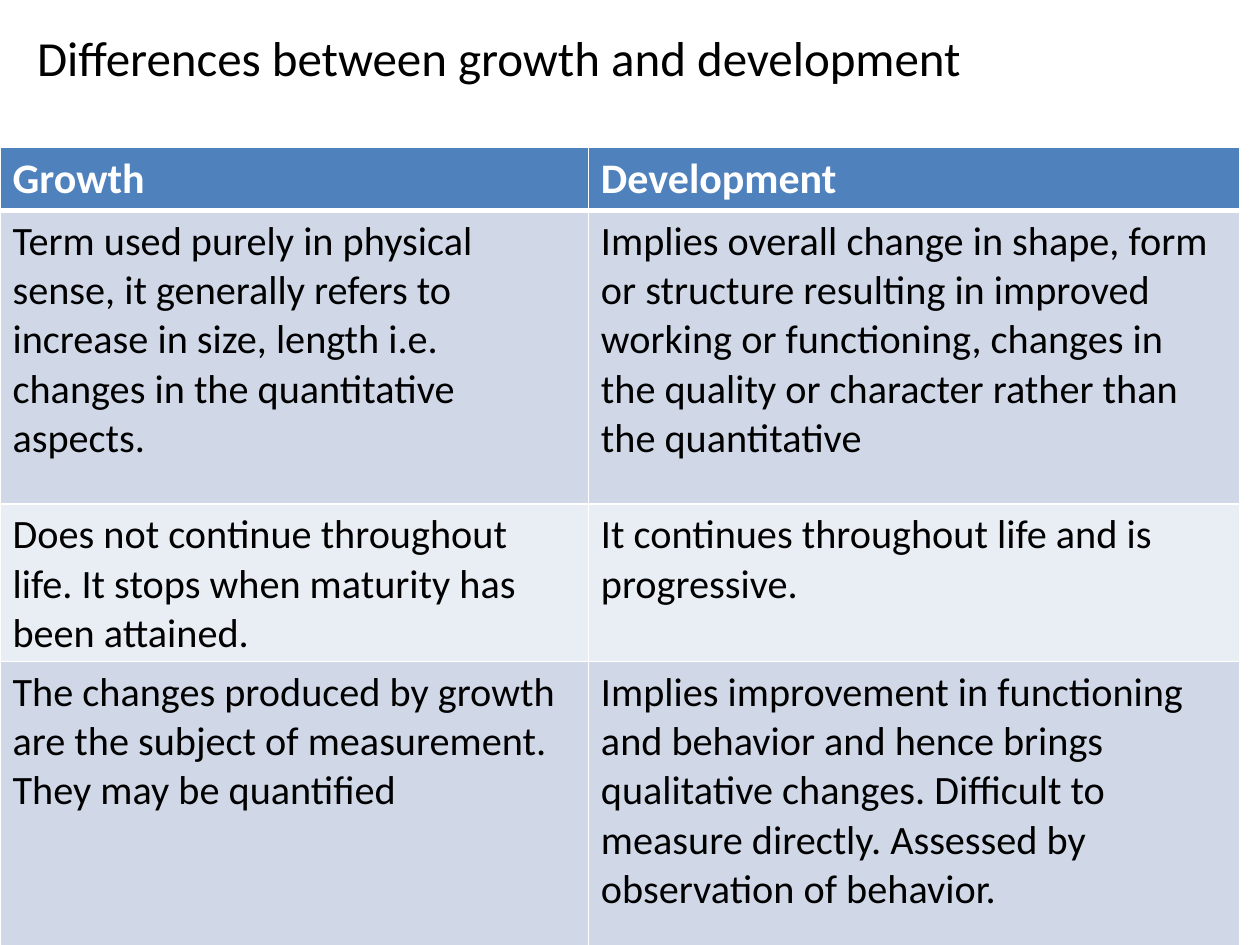
from dataclasses import dataclass
from pptx import Presentation, util as u
from pptx.dml.color import RGBColor
from pptx.enum import text
from pptx.oxml import parse_xml
from pptx.oxml.ns import nsdecls


@dataclass(frozen=True)
class Theme:
    font: str = "Calibri"
    ink: str = "000000"
    white: str = "FFFFFF"
    head: str = "4F81BD"
    bands: tuple[str, str] = ("D0D8E8", "E9EDF4")
    title: int = 28
    label: int = 24
    body: int = 23
    thin: int = 1
    thick: int = 3


@dataclass(frozen=True)
class Row:
    growth: str
    develop: str
    high: float


T = Theme()
WIDE, HIGH = 10, 7.5
TOP = 1.17
COLS = (4.67, 5.17)
ROWS = (
    Row("Growth", "Development", 0.47),
    Row("Term used purely in physical sense, it generally refers to increase "
        "in size, length i.e. changes in the quantitative aspects.",
        "Implies overall change in shape, form or structure resulting in "
        "improved working or functioning, changes in the quality or character "
        "rather than the quantitative", 2.33),
    Row("Does not continue throughout life. It stops when maturity has been "
        "attained.",
        "It continues throughout life and is progressive.", 1.21),
    Row("The changes produced by growth are the subject of measurement. "
        "They may be quantified",
        "Implies improvement in functioning and behavior and hence brings "
        "qualitative changes. Difficult to measure directly. Assessed by "
        "observation of behavior.", 2.33),
)


def write(frame, words: str, *, size: int, color: str = T.ink,
          bold: bool = False, align=text.PP_ALIGN.LEFT) -> None:
    para = frame.paragraphs[0]
    para.alignment = align
    run = para.add_run()
    run.text = words
    font = run.font
    font.name, font.size, font.bold = T.font, u.Pt(size), bold
    font.color.rgb = RGBColor.from_string(color)


def edge(cell, base: int) -> None:
    """Draw white borders, with the bottom one of the given width."""
    props = cell._tc.get_or_add_tcPr()
    sides = {"L": T.thin, "R": T.thin, "T": T.thin, "B": base}
    for at, (side, width) in enumerate(sides.items()):
        props.insert(at, parse_xml(
            f'<a:ln{side} {nsdecls("a")} w="{u.Pt(width)}"><a:solidFill>'
            f'<a:srgbClr val="{T.white}"/></a:solidFill></a:ln{side}>'))


def add_title(slide, words: str) -> None:
    box = slide.shapes.add_textbox(0, 0, u.Inches(0.792 * WIDE),
                                   u.Inches(0.12 * HIGH))
    frame = box.text_frame
    frame.word_wrap = True
    frame.vertical_anchor = text.MSO_ANCHOR.MIDDLE
    write(frame, words, size=T.title, align=text.PP_ALIGN.CENTER)


def add_grid(slide, rows: tuple[Row, ...]) -> None:
    grid = slide.shapes.add_table(
        len(rows), len(COLS), 0, u.Inches(TOP), u.Inches(sum(COLS)),
        u.Inches(sum(row.high for row in rows))).table
    for col, width in zip(grid.columns, COLS):
        col.width = u.Inches(width)
    for r, row in enumerate(rows):
        grid.rows[r].height = u.Inches(row.high)
        head = r == 0
        fill = T.head if head else T.bands[(r - 1) % 2]
        for c, words in enumerate((row.growth, row.develop)):
            cell = grid.cell(r, c)
            cell.fill.solid()
            cell.fill.fore_color.rgb = RGBColor.from_string(fill)
            edge(cell, T.thick if head else T.thin)
            write(cell.text_frame, words, bold=head,
                  size=T.label if head else T.body,
                  color=T.white if head else T.ink)


def main() -> None:
    deck = Presentation()
    deck.slide_width, deck.slide_height = u.Inches(WIDE), u.Inches(HIGH)
    slide = deck.slides.add_slide(deck.slide_layouts[6])
    add_title(slide, "Differences between growth and development")
    add_grid(slide, ROWS)
    deck.save("out.pptx")


if __name__ == "__main__":
    main()
